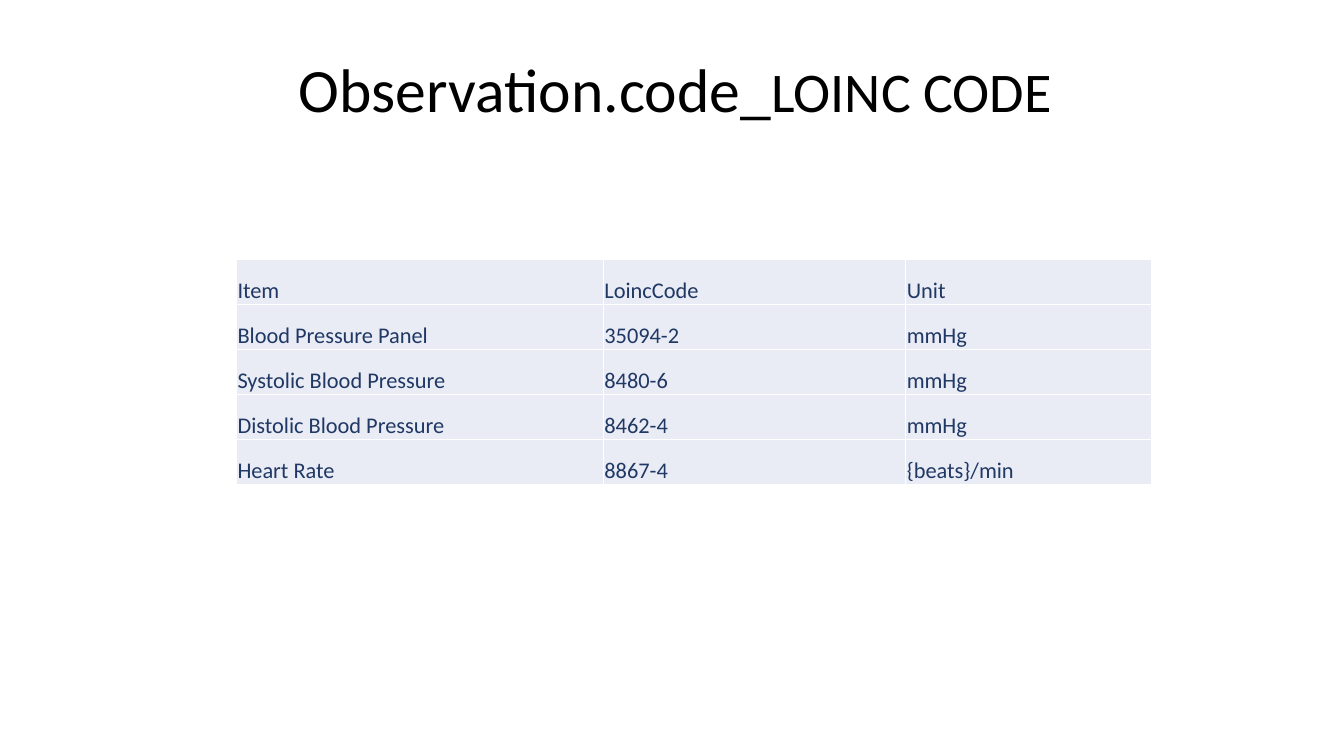
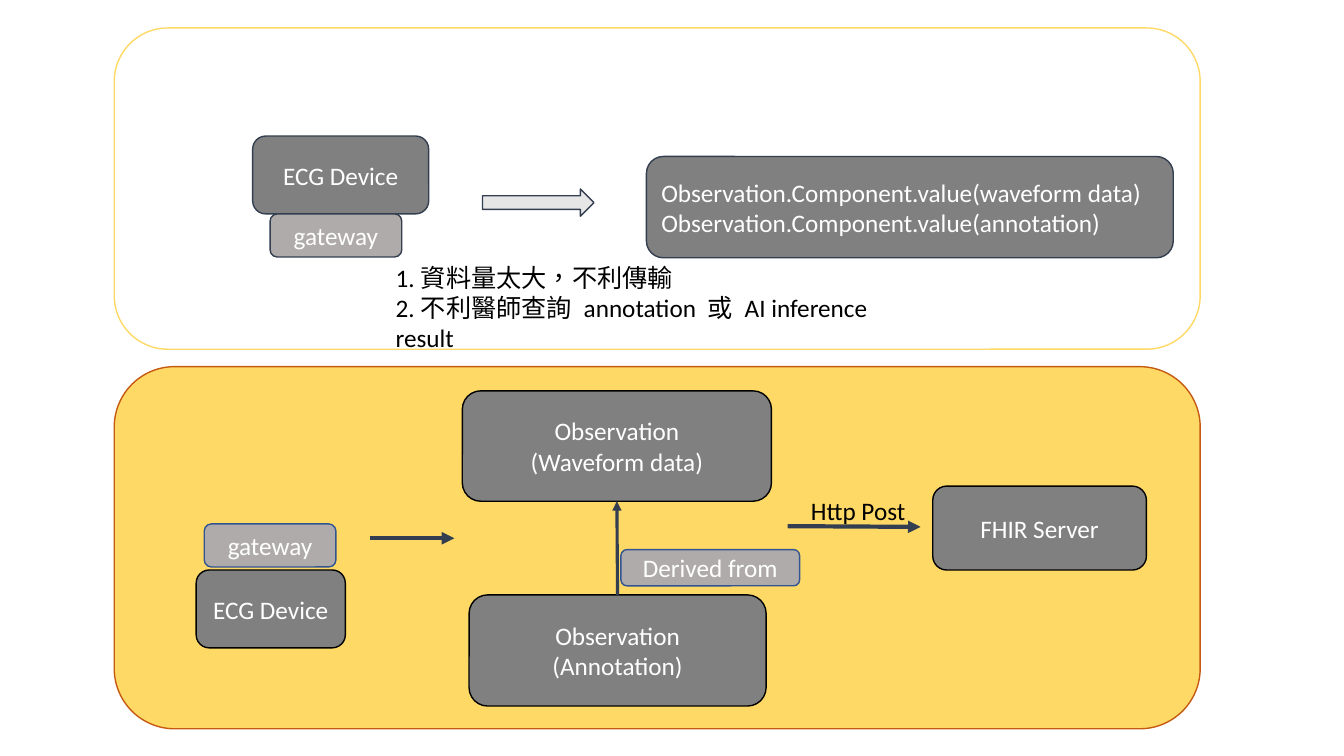
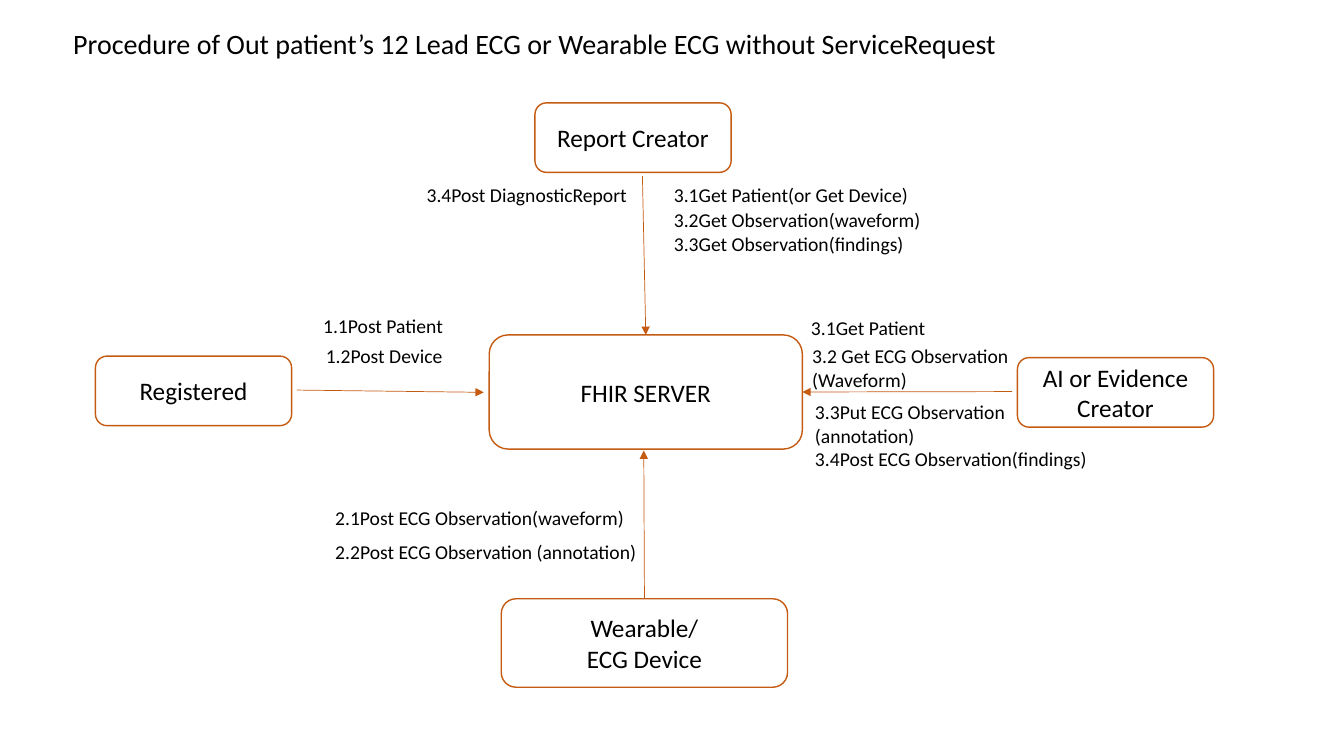
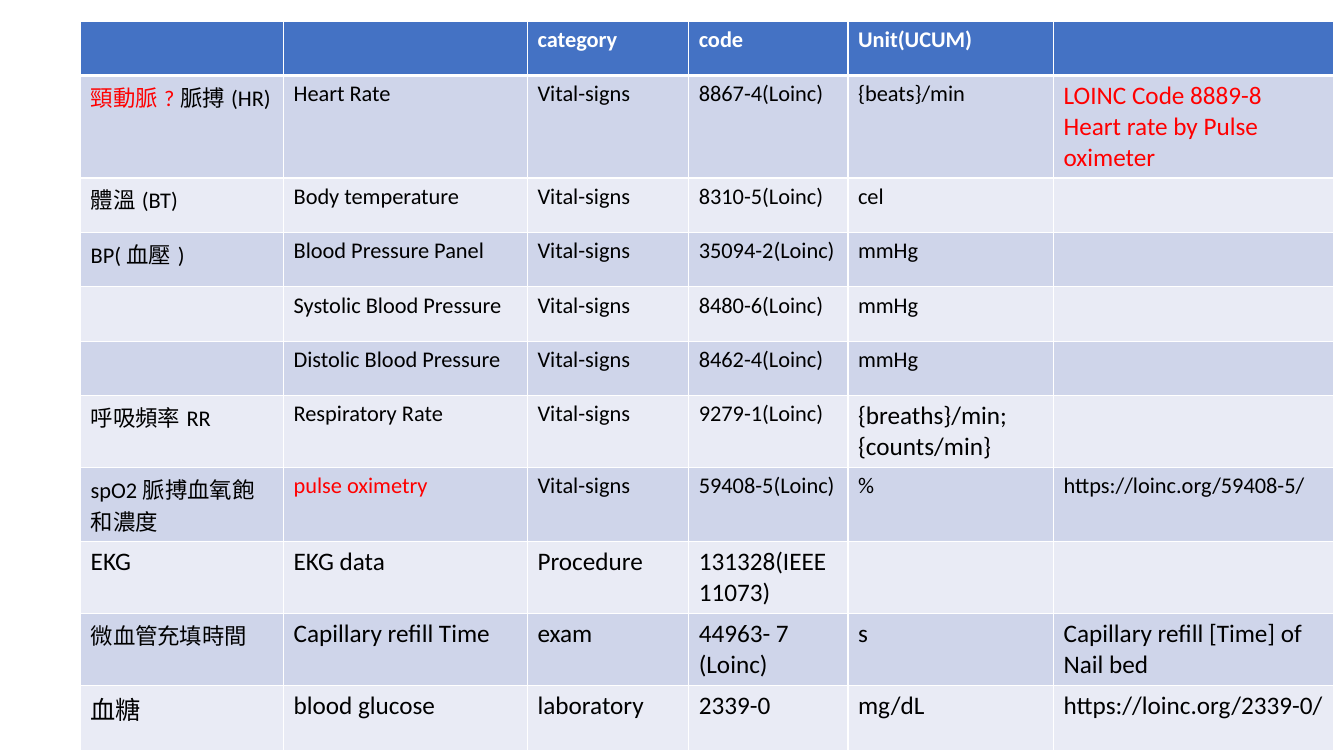
"""Build four slides on health observation codes and ECG data flow."""
from dataclasses import dataclass

from lxml import etree
from pptx import Presentation
from pptx.dml.color import RGBColor
from pptx.enum.lang import MSO_LANGUAGE_ID
from pptx.enum.shapes import MSO_CONNECTOR, MSO_SHAPE
from pptx.enum.text import MSO_ANCHOR, PP_ALIGN
from pptx.oxml.ns import qn
from pptx.util import Inches, Pt

ROUND, ARROW = MSO_SHAPE.ROUNDED_RECTANGLE, MSO_SHAPE.RIGHT_ARROW
STRAIGHT = MSO_CONNECTOR.STRAIGHT
LEFT, CENTER = PP_ALIGN.LEFT, PP_ALIGN.CENTER
TOP, MIDDLE, BOTTOM = MSO_ANCHOR.TOP, MSO_ANCHOR.MIDDLE, MSO_ANCHOR.BOTTOM
CHINESE = MSO_LANGUAGE_ID.TRADITIONAL_CHINESE
WIDE, HIGH = Inches(13.33), Inches(7.5)
TITLED, BLANK = 5, 6
UP, DOWN, EAST = 0, 2, 3


@dataclass(frozen=True)
class Theme:
    """Colours, type sizes and font of the deck."""

    font: str = "Calibri"
    black: str = "000000"
    white: str = "FFFFFF"
    red: str = "FF0000"
    navy: str = "203864"
    slate: str = "333F50"
    blue: str = "4472C4"
    edge: str = "325491"
    band: str = "CFD5EA"
    pale: str = "E9EBF5"
    gray: str = "808080"
    stone: str = "AFABAB"
    light: str = "E7E6E6"
    gold: str = "FFD966"
    rust: str = "C55A11"
    huge: int = 44
    large: int = 40
    head: int = 20
    body: int = 18
    cell: int = 16
    note: int = 14


T = Theme()


def across(share):
    """Turn a percentage of the slide's width into a length."""
    return int(WIDE * share / 100)


def down(share):
    """Turn a percentage of the slide's height into a length."""
    return int(HIGH * share / 100)


def area(x, y, w, h):
    """Turn percentages into left, top, width and height."""
    return across(x), down(y), across(w), down(h)


def write(frame, text, size=T.body, color=T.black, bold=False, align=LEFT):
    """Fill a text frame from a string or from (string, format) runs."""
    runs = [(text, {})] if isinstance(text, str) else text
    base = {"size": size, "color": color, "bold": bold}
    frame.word_wrap = True
    para = frame.paragraphs[0]
    para.alignment = align
    for part, own in runs:
        look = {**base, **own}
        for num, line in enumerate(part.split("\n")):
            if num:
                para = frame.add_paragraph()
                para.alignment = align
            run = para.add_run()
            run.text = line
            font = run.font
            font.name, font.size, font.bold = T.font, Pt(look["size"]), look["bold"]
            font.color.rgb = RGBColor.from_string(look["color"])
            font.language_id = CHINESE


def big(text, color=T.black):
    """Give a cell's text the body size."""
    return [(text, {"size": T.body, "color": color})]


def title(slide, text, place, **look):
    """Place and fill the title placeholder."""
    shape = slide.shapes.title
    shape.left, shape.top, shape.width, shape.height = area(*place)
    shape.text_frame.vertical_anchor = TOP
    write(shape.text_frame, text, **look)


def label(slide, text, place, **look):
    """Add a plain text box."""
    write(slide.shapes.add_textbox(*area(*place)).text_frame, text, **look)


def box(slide, place, text="", fill=None, line=T.black, kind=ROUND,
        color=T.white, align=CENTER):
    """Add an outlined shape, with text and fill if given."""
    shape = slide.shapes.add_shape(kind, *area(*place))
    shape.shadow.inherit = False
    if fill:
        shape.fill.solid()
        shape.fill.fore_color.rgb = RGBColor.from_string(fill)
    else:
        shape.fill.background()
    shape.line.color.rgb = RGBColor.from_string(line)
    shape.line.width = Pt(1)
    if text:
        shape.text_frame.vertical_anchor = MIDDLE
        write(shape.text_frame, text, color=color, align=align)
    return shape


def link(slide, start, end, color, width):
    """Draw an arrow between points or (shape, side) pairs."""
    free = [isinstance(tip[0], (int, float)) for tip in (start, end)]
    spots = []
    for tip, loose in zip((start, end), free):
        spots += [across(tip[0]), down(tip[1])] if loose else [0, 0]
    line = slide.shapes.add_connector(STRAIGHT, *spots)
    if not free[0]:
        line.begin_connect(*start)
    if not free[1]:
        line.end_connect(*end)
    line.line.color.rgb = RGBColor.from_string(color)
    line.line.width = Pt(width)
    etree.SubElement(line.get_or_add_ln(), qn("a:tailEnd"), type="triangle")
    etree.SubElement(line._element.spPr, qn("a:effectLst"))


def border(cell, top=1, base=1):
    """Draw white lines round a cell."""
    props = cell._tc.get_or_add_tcPr()
    for side, width in (("L", 1), ("R", 1), ("T", top), ("B", base)):
        line = etree.SubElement(props, qn("a:ln" + side), w=str(Pt(width)))
        fill = etree.SubElement(line, qn("a:solidFill"))
        etree.SubElement(fill, qn("a:srgbClr"), val=T.white)


def grid(slide, spot, cols, rows, data, head=False, tight=False, color=T.black):
    """Add a table, with a header and bands or in one pale tone."""
    place = area(*spot, sum(cols), sum(rows))
    table = slide.shapes.add_table(len(rows), len(cols), *place).table
    table.first_row = table.horz_banding = head
    for col, share in zip(table.columns, cols):
        col.width = across(share)
    for num, (row, share, texts) in enumerate(zip(table.rows, rows, data)):
        row.height = down(share)
        first = head and num == 0
        tone = T.blue if first else T.band if head and num % 2 else T.pale
        for cell, text in zip(row.cells, texts):
            border(cell, 3 if head and num == 1 else 1, 3 if first else 1)
            cell.fill.solid()
            cell.fill.fore_color.rgb = RGBColor.from_string(tone)
            if tight:
                cell.vertical_anchor = BOTTOM
                cell.margin_left = cell.margin_right = cell.margin_top = Inches(0.01)
                cell.margin_bottom = 0
            if text:
                write(cell.text_frame, text, size=T.cell, bold=first,
                      color=T.white if first else color)


def codes(slide):
    """Show the table of LOINC codes."""
    title(slide, [("Observation.code_", {}), ("LOINC CODE", {"size": T.large})],
          (5.5, 6.1, 89.5, 16.5), size=T.huge, align=CENTER)
    data = [
        ("Item", "LoincCode", "Unit"),
        ("Blood Pressure Panel", "35094-2", "mmHg"),
        ("Systolic Blood Pressure", "8480-6", "mmHg"),
        ("Distolic Blood Pressure", "8462-4", "mmHg"),
        ("Heart Rate", "8867-4", "{beats}/min"),
    ]
    grid(slide, (17.6, 34.3), (27.3, 22.5, 18.3), [5.95] * 5, data,
         tight=True, color=T.navy)


def flow(slide):
    """Compare one combined observation with two linked ones."""
    dark = {"fill": T.gray, "line": T.slate}
    solid = {"fill": T.gray}
    port = (9.8, 5.7)
    box(slide, (8.5, 48.5, 80.8, 47.9), fill=T.gold, line=T.rust)
    box(slide, (18.8, 18, 13.1, 10.3), "ECG Device", **dark)
    box(slide, (48.1, 20.7, 39.2, 13.4),
        "Observation.Component.value(waveform data)\n"
        "Observation.Component.value(annotation)", align=LEFT, **dark)
    box(slide, (35.9, 25, 8.3, 3.6), fill=T.light, line=T.slate, kind=ARROW)
    box(slide, (8.5, 3.7, 80.8, 42.5), line=T.gold)
    label(slide, "1.資料量太大，不利傳輸\n"
          "2.不利醫師查詢 annotation 或 AI inference result", (28.7, 34, 40.4, 9.4))
    box(slide, (14.6, 75.4, 11.1, 10.3), "ECG Device", **solid)
    wave = box(slide, (34.4, 51.7, 23, 14.6), "Observation\n(Waveform data)", **solid)
    box(slide, (69.4, 64.3, 15.9, 11.1), "FHIR Server", **solid)
    mark = box(slide, (34.9, 78.7, 22.1, 14.7), "Observation\n(Annotation)", **solid)
    link(slide, (27.5, 71.2), (33.8, 71.2), T.slate, 3)
    link(slide, (58.6, 69.6), (68.5, 69.7), T.slate, 3)
    label(slide, "Http Post", (59.6, 64.9, 8.9, 5.3))
    box(slide, (15.2, 69.3, *port), "gateway", fill=T.stone, line=T.edge)
    box(slide, (46.2, 72.7, 13.3, 4.8), "Derived from", fill=T.stone, line=T.edge)
    link(slide, (mark, UP), (wave, DOWN), T.slate, 2.25)
    box(slide, (20.1, 28.3, *port), "gateway", fill=T.stone, line=T.slate)


def steps(slide):
    """Show who sends what to the server."""
    title(slide, "Procedure of Out patient’s 12 Lead ECG or Wearable ECG "
          "without ServiceRequest", (4.7, 2.9, 71, 5.9), size=T.head)
    look = {"line": T.rust, "color": T.black}
    role = (14.6, 9.2)
    hub = box(slide, (36.4, 44.3, 23.3, 15.1), "FHIR SERVER", **look)
    worn = box(slide, (37.3, 79.2, 21.3, 11.7), "Wearable/\nECG Device", **look)
    for text, x, y in (("Report Creator", 39.8, 13.6),
                       ("AI or Evidence Creator", 75.7, 47.3),
                       ("Registered", 7.1, 47.1)):
        box(slide, (x, y, *role), text, **look)
    notes = [
        ("2.1Post ECG Observation(waveform)", 24.2, 66.3, 25.1),
        ("2.2Post ECG Observation (annotation)", 24.2, 70.8, 26),
        ("3.3Put ECG Observation\n(annotation)\n3.4Post ECG Observation(findings)",
         59.9, 52.3, 22.4),
        ("3.1Get Patient(or Get Device)", 49.4, 23.5, 39.5),
        ("3.2Get Observation(waveform)", 49.4, 26.9, 20),
        ("3.3Get Observation(findings)", 49.4, 30, 24),
        ("3.4Post DiagnosticReport", 31, 23.6, 22.1),
        ("3.1Get Patient", 59.6, 41.1, 17.9),
        ("3.2 Get ECG Observation\n(Waveform)", 59.7, 44.9, 18.1),
        ("1.1Post Patient", 23.3, 40.9, 12.3),
        ("1.2Post Device", 23.5, 44.9, 12.3),
    ]
    for text, x, y, w in notes:
        lines = text.count("\n") + 1
        label(slide, text, (x, y, w, 1.4 + 3.1 * lines), size=T.note)
    for start, end in (((47.8, 23.3), (hub, UP)), ((75.3, 51.8), (hub, EAST)),
                       ((worn, UP), (47.9, 59.6)), ((22.1, 51.6), (36, 51.9))):
        link(slide, start, end, T.rust, 0.5)


def signs(slide):
    """List the vital signs with codes and units."""
    vital = "Vital-signs"
    data = [
        ("", "", "category", "code", "Unit(UCUM)", ""),
        ([("頸動脈?", {"color": T.red}), ("脈搏(HR)", {})], "Heart Rate", vital,
         "8867-4(Loinc)", "{beats}/min",
         big("LOINC Code 8889-8 Heart rate by Pulse oximeter", T.red)),
        ("體溫(BT)", "Body temperature", vital, "8310-5(Loinc)", "cel", ""),
        ("BP(血壓)", "Blood Pressure Panel", vital, "35094-2(Loinc)", "mmHg", ""),
        ("", "Systolic Blood Pressure", vital, "8480-6(Loinc)", "mmHg", ""),
        ("", "Distolic Blood Pressure", vital, "8462-4(Loinc)", "mmHg", ""),
        ("呼吸頻率RR", "Respiratory Rate", vital, "9279-1(Loinc)",
         big("{breaths}/min;\n{counts/min}"), ""),
        ("spO2脈搏血氧飽和濃度", [("pulse oximetry", {"color": T.red})], vital,
         "59408-5(Loinc)", "%", "https://loinc.org/59408-5/"),
        (big("EKG"), big("EKG data"), big("Procedure"),
         big("131328(IEEE 11073)"), "", ""),
        ("微血管充填時間", big("Capillary refill Time"), big("exam"),
         big("44963- 7 (Loinc)"), big("s"),
         big("Capillary refill [Time] of Nail bed")),
        [big(text) for text in ("血糖", "blood glucose", "laboratory", "2339-0",
                                "mg/dL", "https://loinc.org/2339-0/")],
    ]
    rows = [7.2, 12.9] + [7.2] * 4 + [9.1, 8.3, 9.1, 9.1, 8.6]
    grid(slide, (6, 2.8), (15.1, 18.15, 12, 11.85, 15.3, 20.8), rows, data, head=True)


def main():
    """Build and save the deck."""
    deck = Presentation()
    deck.slide_width, deck.slide_height = WIDE, HIGH
    for build, kind in ((codes, TITLED), (flow, BLANK), (steps, TITLED), (signs, BLANK)):
        build(deck.slides.add_slide(deck.slide_layouts[kind]))
    deck.save("out.pptx")


if __name__ == "__main__":
    main()
